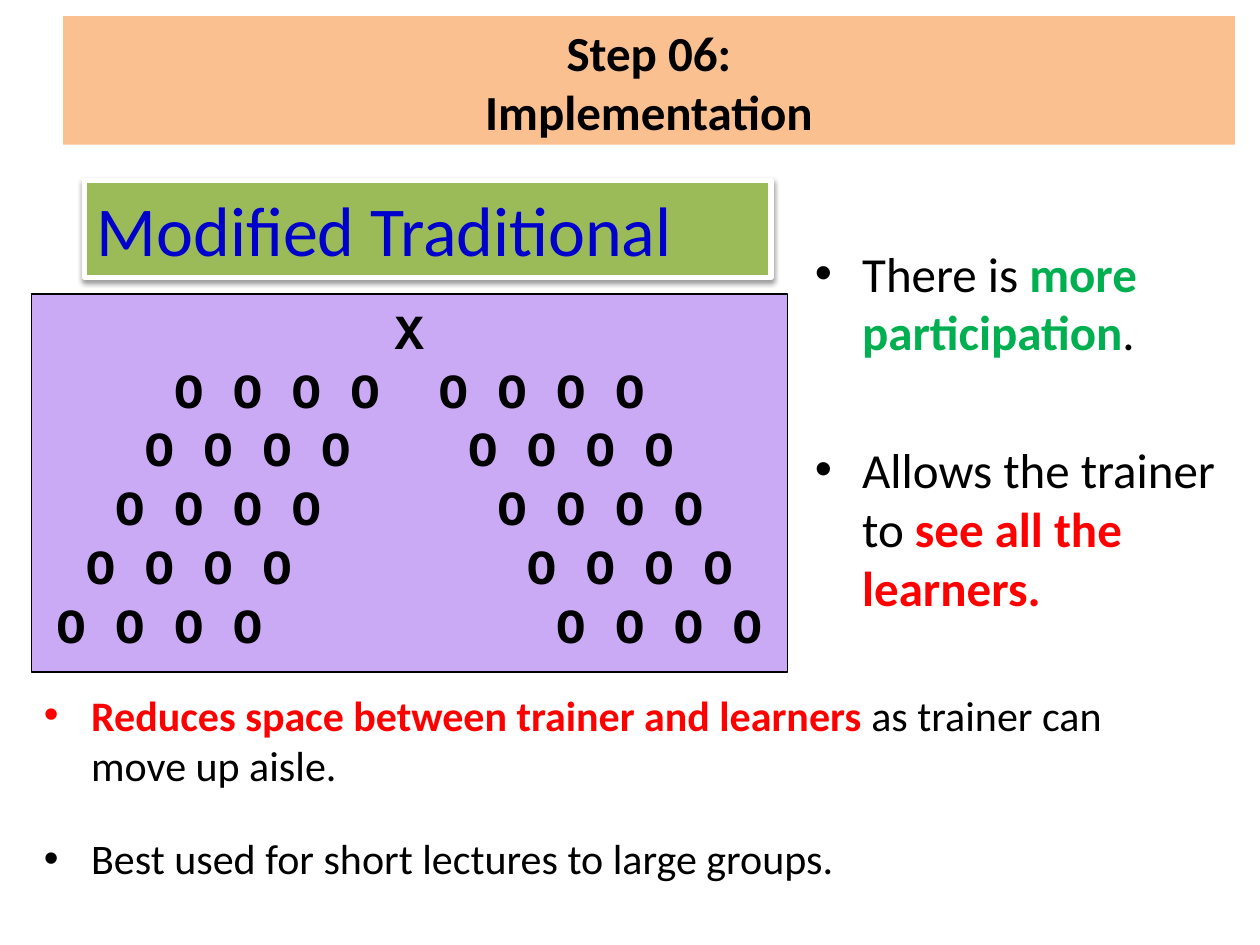
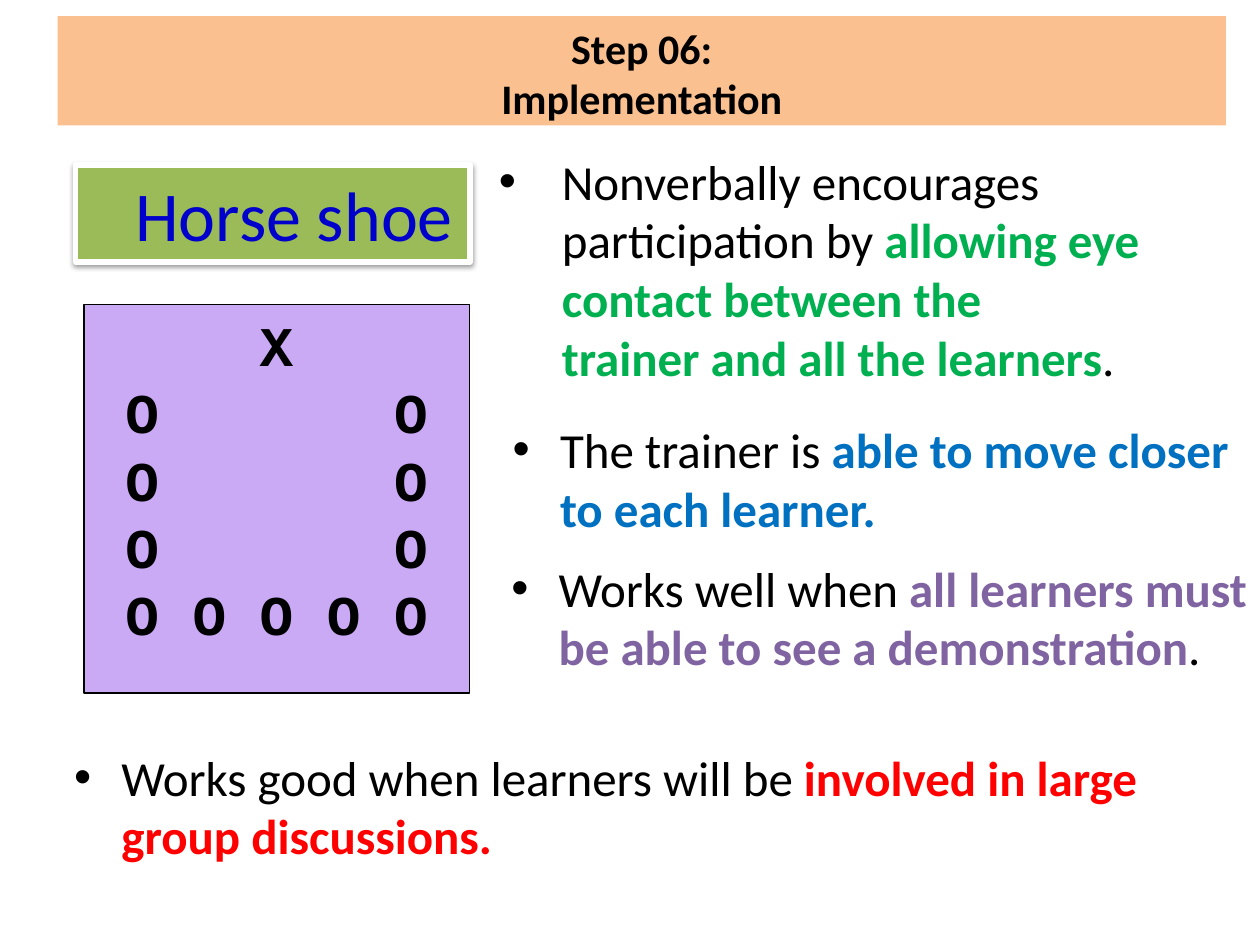
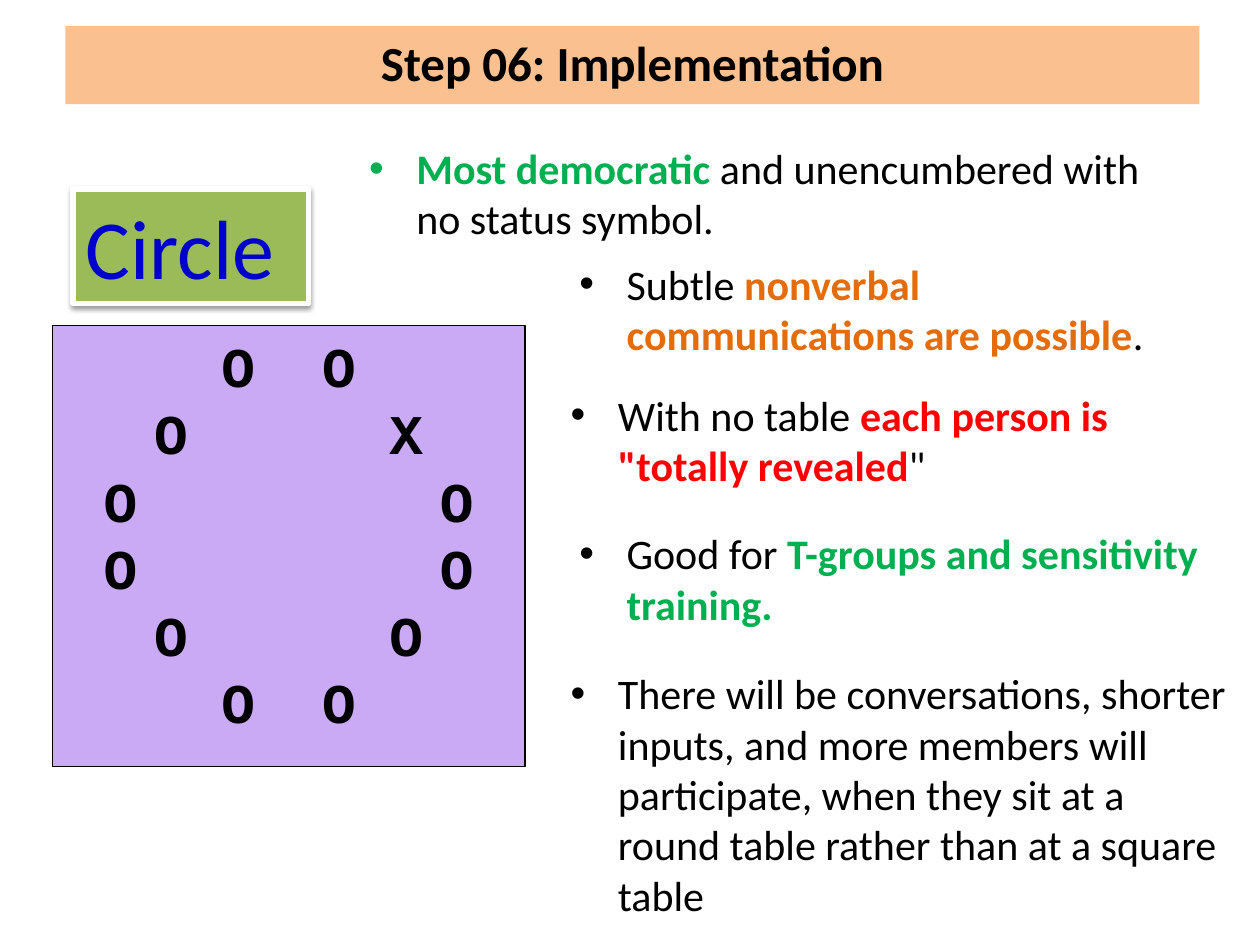
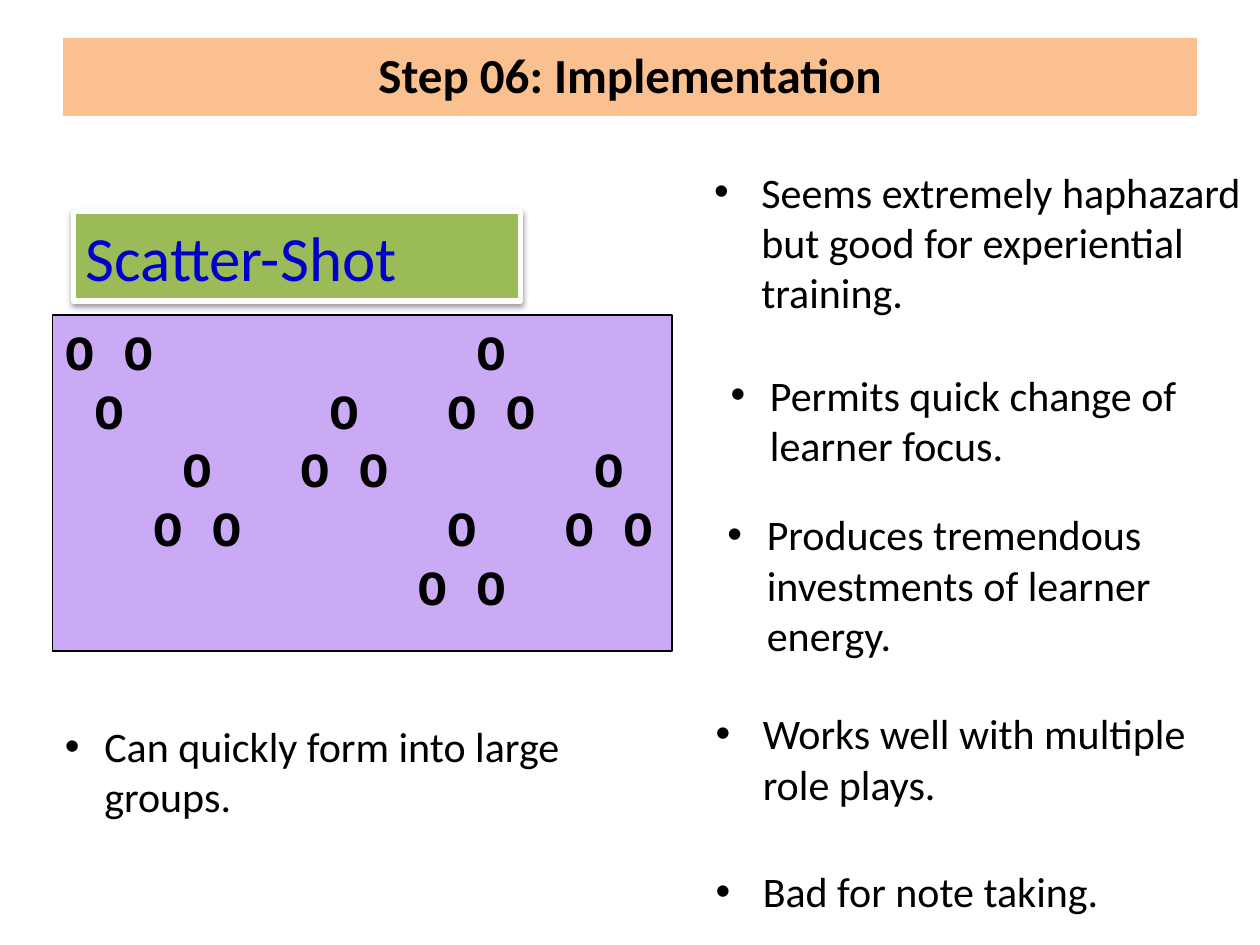
from lxml import etree
from pptx import Presentation
from pptx.dml.color import RGBColor
from pptx.enum import shapes, text
from pptx.oxml import ns
from pptx.util import Pt

BLACK = RGBColor(0, 0, 0)
WHITE = RGBColor(255, 255, 255)
PEACH = RGBColor(0xFA, 0xC0, 0x90)
LILAC = RGBColor(0xCA, 0xA9, 0xF5)
OLIVE = RGBColor(0x9B, 0xBB, 0x59)
NAVY = RGBColor(0, 0, 0xCC)
GREEN = RGBColor(0, 0xB0, 0x50)
RED = RGBColor(255, 0, 0)
BLUE = RGBColor(0, 0x70, 0xC0)
PURPLE = RGBColor(0x80, 0x64, 0xA2)
ORANGE = RGBColor(0xE4, 0x6C, 0x0A)

BODY_FONT, SEAT_FONT = "Calibri", "Courier New"
SEAT_PITCH = 0.6        # width of a monospaced character, in ems
SIDE_INSET = 7.2
WIDE, NARROW = 27, 22.5  # hanging indents of the bullets

# Boxes are (left, top, width, height) in points. In a seating plan X is the
# trainer, O a learner and a dot an empty place. A bullet is (box, hanging
# indent, pieces of text); a piece with a colour is emphasised.
SLIDES = [
    dict(
        title="Step 06:\vImplementation", title_box=(36, 9.2, 669.6, 73.5), title_size=28,
        label="Modified Traditional", label_box=(48.2, 103, 392.4, 55.5), label_size=40,
        label_indent=0,
        plan_box=(18, 168, 432, 216), seat_size=28, centred=True,
        plan=["X"] + ["O.O.O.O" + "." * aisle + "O.O.O.O" for aisle in range(2, 11, 2)],
        bullet_size=28,
        bullets=[
            ((458.6, 135.4, 264, 75), WIDE,
             [("There is ",), ("more participation", GREEN), (".",)]),
            ((458.6, 247.7, 255.6, 109), WIDE,
             [("Allows the trainer to ",), ("see all the learners.", RED)]),
        ],
        notes_size=24,
        notes=[
            ((18, 390.2, 625.7, 65.5), WIDE,
             [("Reduces space between trainer and learners ", RED),
              ("as trainer can move up aisle.",)]),
            ((18, 472.3, 617.8, 36), WIDE,
             [("Best used for short lectures to large groups.",)]),
        ],
    ),
    dict(
        title="Step 06:\vImplementation", title_box=(33, 9.2, 667.5, 62.5), title_size=24,
        label="Horse shoe", label_box=(43.2, 94.3, 225.4, 55.5), label_size=40,
        label_indent=27,
        plan_box=(48, 174, 220.3, 222), seat_size=32, centred=True,
        plan=["X"] + ["O.......O"] * 3 + ["O.O.O.O.O"],
        bullet_size=28,
        bullets=[
            ((278, 82.8, 431.3, 126.7), 36,
             [("Nonverbally encourages participation by ",),
              ("allowing eye contact between the\vtrainer and all the learners", GREEN),
              (".",)]),
            ((285.9, 236.2, 423.4, 67.7), WIDE,
             [("The trainer is ",), ("able to move closer to each learner.", BLUE)]),
            ((285.1, 315.4, 437.8, 90.7), WIDE,
             [("Works well when ",),
              ("all learners must be able to see a demonstration", PURPLE), (".",)]),
            ((35.3, 423.4, 648, 124.6), WIDE,
             [("Works good when learners will be ",),
              ("involved in large group discussions.", RED)]),
        ],
    ),
    dict(
        title="Step 06: Implementation", title_box=(37.4, 15, 648, 44.6), title_size=28,
        label="Circle", label_box=(41.8, 108, 134.6, 65.5), label_size=48,
        label_indent=0,
        plan_box=(30, 186, 270, 252), seat_size=32, centred=True,
        plan=["O..O", "O......X", "O.........O", "O.........O", "O......O", "O..O"],
        bullet_size=24,
        bullets=[
            ((203.8, 77.8, 480.2, 66.2), WIDE,
             [("Most democratic ", GREEN), ("and unencumbered with no status symbol.",)]),
            ((324, 144, 378, 66.2), WIDE,
             [("Subtle ",), ("nonverbal communications are possible", ORANGE), (".",)]),
            ((319, 218.9, 365.8, 66.2), WIDE,
             [("With no table ",), ('each person is "totally revealed', RED), ('"',)]),
            ((324, 298.1, 383.8, 66.2), WIDE,
             [("Good for ",), ("T-groups and sensitivity training.", GREEN)]),
            ((319, 378, 390.2, 149.8), WIDE,
             [("There will be conversations, shorter inputs, and more members will "
               "participate, when they sit at a round table rather than at a square table",)]),
        ],
    ),
    dict(
        title="Step 06: Implementation", title_box=(36, 21.6, 648, 44.6), title_size=28,
        label="Scatter-Shot", label_box=(41.8, 121, 255.6, 51), label_size=36,
        label_indent=0,
        plan_box=(30, 180, 354, 192), seat_size=28, centred=False,
        plan=["O.O...........O", ".O.......O...O.O", "....O...O.O.......O",
              "...O.O.......O...O.O", "............O.O"],
        bullet_size=24,
        bullets=[
            ((401, 91.4, 319, 92.2), WIDE,
             [("Seems extremely haphazard but good for experiential training.",)]),
            ((410.4, 207.4, 298, 68.4), NARROW,
             [("Permits quick change of learner focus.",)]),
            ((408.6, 287.3, 300.2, 102.2), NARROW,
             [("Produces tremendous investments of learner energy.",)]),
            ((401.8, 401, 300.2, 78.5), WIDE,
             [("Works well with multiple role plays.",)]),
            ((401.8, 491, 269.3, 36), WIDE, [("Bad for note taking.",)]),
            ((30, 408.2, 313.2, 72), NARROW,
             [("Can quickly form into large groups.",)]),
        ],
    ),
]


def add_xml(parent, tag, **attributes):
    """Append a DrawingML element such as a:tab to a parent and return it."""
    child = etree.SubElement(parent, ns.qn(tag))
    for key, value in attributes.items():
        child.set(key, str(value))
    return child


def style(run, size, color, bold=False, font=BODY_FONT):
    """Give a run its font, size, colour and weight."""
    run.font.name, run.font.size, run.font.bold = font, Pt(size), bold
    run.font.color.rgb = color


def add_panel(slide, box, fill, line, width):
    """Add a filled, outlined rectangle without a shadow."""
    panel = slide.shapes.add_shape(shapes.MSO_SHAPE.RECTANGLE, *map(Pt, box))
    panel.shadow.inherit = False
    panel.fill.solid()
    panel.fill.fore_color.rgb = fill
    panel.line.color.rgb = line
    panel.line.width = Pt(width)
    return panel


def set_title(slide, wording, box, size):
    """Turn the title placeholder into the peach band."""
    band = slide.shapes.title
    band.left, band.top, band.width, band.height = map(Pt, box)
    band.fill.solid()
    band.fill.fore_color.rgb = PEACH
    frame = band.text_frame
    frame.text = wording
    frame.auto_size = text.MSO_AUTO_SIZE.NONE
    frame.vertical_anchor = text.MSO_ANCHOR.TOP
    heading = frame.paragraphs[0]
    heading.alignment = text.PP_ALIGN.CENTER
    for run in heading.runs:
        style(run, size, BLACK, bold=True)
    for line_break in heading._p.findall(ns.qn("a:br")):
        add_xml(line_break, "a:rPr", sz=size * 100)


def add_label(slide, wording, box, size, indent):
    """Add the green name plate with its white frame and soft shadow."""
    plate = add_panel(slide, box, OLIVE, WHITE, 3)
    effects = plate._element.spPr.find(ns.qn("a:effectLst"))
    shadow = add_xml(effects, "a:outerShdw", blurRad=Pt(3.1), dist=Pt(1.6),
                     dir=90 * 60000, rotWithShape=0)
    add_xml(add_xml(shadow, "a:srgbClr", val=BLACK), "a:alpha", val=38000)
    frame = plate.text_frame
    frame.text = wording
    frame.margin_left, frame.margin_right = Pt(SIDE_INSET + indent), 0
    frame.paragraphs[0].alignment = text.PP_ALIGN.LEFT
    style(frame.paragraphs[0].runs[0], size, NAVY)


def add_plan(slide, rows, box, size, centred):
    """Add the seating plan, each seat on its own tab stop."""
    frame = add_panel(slide, box, LILAC, BLACK, 0.75).text_frame
    frame.vertical_anchor = text.MSO_ANCHOR.TOP
    pitch = SEAT_PITCH * size
    for number, row in enumerate(rows):
        start = (box[2] - 2 * SIDE_INSET - len(row) * pitch) / 2 if centred else 0
        seats = [(start + column * pitch, mark)
                 for column, mark in enumerate(row) if mark != "."]
        line = frame.add_paragraph() if number else frame.paragraphs[0]
        line.text = "".join(("\t" if x > 0 else "") + mark for x, mark in seats)
        line.alignment = text.PP_ALIGN.LEFT
        style(line.runs[0], size, BLACK, bold=True, font=SEAT_FONT)
        stops = add_xml(line._p.get_or_add_pPr(), "a:tabLst")
        for x, _ in seats:
            if x > 0:
                add_xml(stops, "a:tab", pos=Pt(x), algn="l")


def add_bullet(slide, box, hanging, pieces, size):
    """Add one bulleted statement, with its coloured pieces in bold."""
    frame = slide.shapes.add_textbox(*map(Pt, box)).text_frame
    frame.word_wrap = True
    statement = frame.paragraphs[0]
    properties = statement._p.get_or_add_pPr()
    properties.set("marL", str(Pt(hanging)))
    properties.set("indent", str(-Pt(hanging)))
    add_xml(properties, "a:buFont", typeface="Arial")
    add_xml(properties, "a:buChar", char="•")
    for wording, *color in pieces:
        for number, part in enumerate(wording.split("\v")):
            if number:
                statement.add_line_break()
            run = statement.add_run()
            run.text = part
            style(run, size, color[0] if color else BLACK, bold=bool(color))


def build():
    """Build and save the presentation."""
    deck = Presentation()
    deck.slide_width, deck.slide_height = Pt(720), Pt(540)
    for content in SLIDES:
        slide = deck.slides.add_slide(deck.slide_layouts[5])
        set_title(slide, content["title"], content["title_box"], content["title_size"])
        add_plan(slide, content["plan"], content["plan_box"],
                 content["seat_size"], content["centred"])
        add_label(slide, content["label"], content["label_box"],
                  content["label_size"], content["label_indent"])
        for bullet in content["bullets"]:
            add_bullet(slide, *bullet, content["bullet_size"])
        for note in content.get("notes", []):
            add_bullet(slide, *note, content["notes_size"])
    deck.save("out.pptx")


build()
